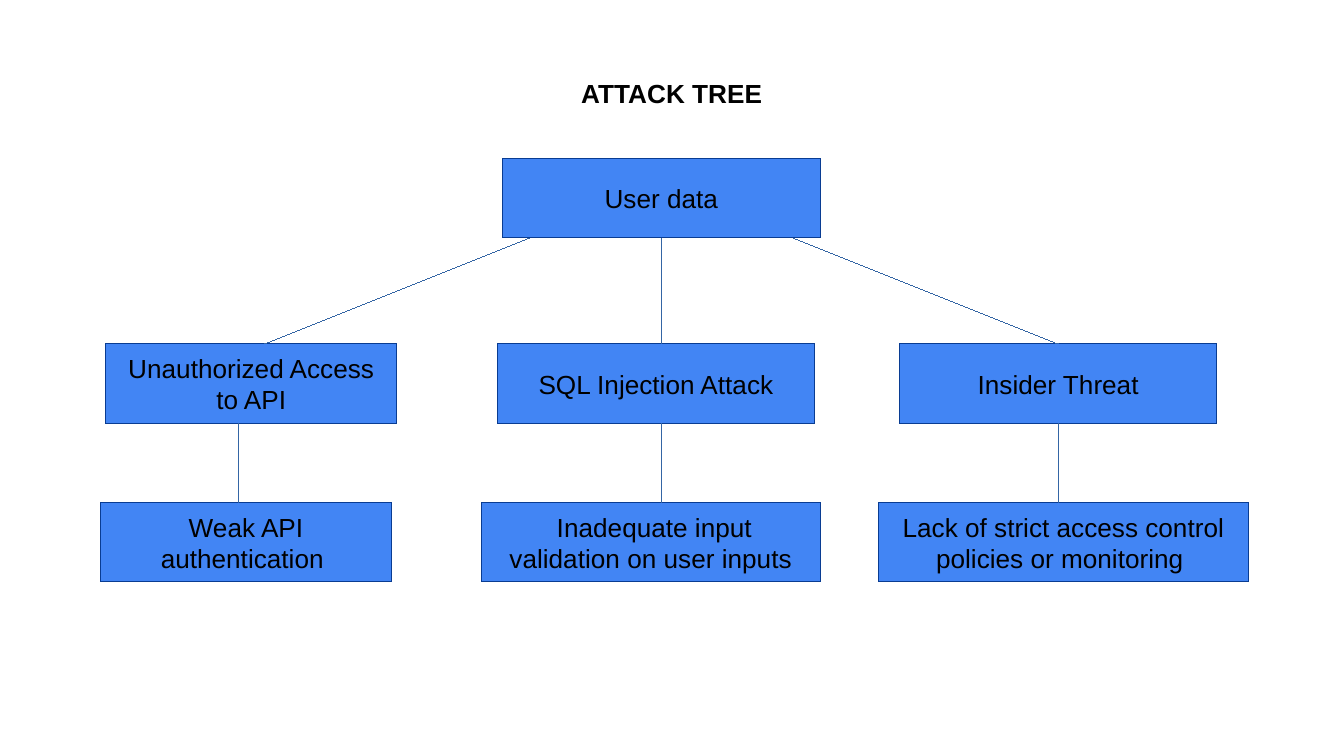
from dataclasses import dataclass

from lxml.etree import SubElement
from pptx import Presentation
from pptx.dml.color import RGBColor
from pptx.enum.shapes import MSO_CONNECTOR as Connector, MSO_SHAPE as Preset
from pptx.enum.text import MSO_ANCHOR as Anchor, PP_ALIGN as Align
from pptx.oxml.ns import qn
from pptx.util import Cm, Inches, Pt

TOP, BOTTOM = 0, 2


@dataclass(frozen=True)
class Theme:
    """Colours, font and sizes of the slide."""
    font: str = "Arial"
    size: int = 14
    ink: str = "000000"
    node: str = "4285F4"
    border: str = "093C92"
    branch: str = "3465A4"
    hairline: float = 0.01


@dataclass(frozen=True)
class Box:
    """An area on a grid of one-centimetre columns and rows."""
    left: float
    top: float
    width: float
    height: float

    def inner(self, left, top, width, height):
        """Return a box placed relative to this one."""
        return Box(self.left + left, self.top + top, width, height)

    def lengths(self):
        """Return left, top, width and height as slide lengths."""
        return [Cm(n) for n in (self.left, self.top, self.width, self.height)]


@dataclass(frozen=True)
class Branch:
    """A threat with its cause, in columns of the tree."""
    threat: str
    threat_left: float
    threat_width: float
    cause: str
    cause_left: float
    cause_width: float
    root_exit: float
    entry: float
    stem: float


THEME = Theme()
NODE_HEIGHT, THREAT_ROW, CAUSE_ROW = 1.5, 3.5, 6.5
ROOT_LEFT, ROOT_WIDTH = 7.6, 6
BRANCHES = [
    Branch("Unauthorized Access to API", 0.1, 5.5,
           "Weak API authentication ", 0, 5.5, 8.1, 3.1, 2.6),
    Branch("SQL Injection Attack", 7.5, 6,
           " Inadequate input validation on user inputs", 7.2, 6.4, 10.6, 10.6, 10.6),
    Branch("Insider Threat", 15.1, 6,
           "Lack of strict access control policies or monitoring ", 14.7, 7, 13.1, 18.1, 18.1),
]


def write(frame, wording, bold=False):
    """Write one centred paragraph in the theme's type."""
    frame.word_wrap = True
    frame.vertical_anchor = Anchor.MIDDLE
    paragraph = frame.paragraphs[0]
    paragraph.alignment = Align.CENTER
    run = paragraph.add_run()
    run.text = wording
    run.font.name = THEME.font
    run.font.size = Pt(THEME.size)
    run.font.bold = bold
    run.font.color.rgb = RGBColor.from_string(THEME.ink)


def add_title(slide, box, wording):
    """Place the heading in its box."""
    heading = slide.shapes.add_textbox(*box.lengths())
    frame = heading.text_frame
    frame.margin_left = frame.margin_right = frame.margin_top = frame.margin_bottom = 0
    write(frame, wording, bold=True)


def add_node(slide, box, wording):
    """Place one labelled rectangle of the tree."""
    node = slide.shapes.add_shape(Preset.RECTANGLE, *box.lengths())
    node.shadow.inherit = False
    node.fill.solid()
    node.fill.fore_color.rgb = RGBColor.from_string(THEME.node)
    node.line.color.rgb = RGBColor.from_string(THEME.border)
    node.line.width = Pt(THEME.hairline)
    write(node.text_frame, wording)
    return node


def add_link(slide, upper, lower, start, end):
    """Draw a line between two nodes, joined where it meets a side's middle."""
    link = slide.shapes.add_connector(
        Connector.STRAIGHT, Cm(start), upper.top + upper.height, Cm(end), lower.top)
    link.line.color.rgb = RGBColor.from_string(THEME.branch)
    link.line.width = Pt(THEME.hairline)
    SubElement(link._element.spPr, qn("a:effectLst"))
    if abs(upper.left + upper.width / 2 - Cm(start)) < Cm(0.01):
        link.begin_connect(upper, BOTTOM)
    if abs(lower.left + lower.width / 2 - Cm(end)) < Cm(0.01):
        link.end_connect(lower, TOP)


def add_tree(slide, box, goal, branches):
    """Place the goal, its threats and their causes inside the box."""
    root = add_node(slide, box.inner(ROOT_LEFT, 0, ROOT_WIDTH, NODE_HEIGHT), goal)
    for branch in branches:
        threat = add_node(slide, box.inner(
            branch.threat_left, THREAT_ROW, branch.threat_width, NODE_HEIGHT), branch.threat)
        cause = add_node(slide, box.inner(
            branch.cause_left, CAUSE_ROW, branch.cause_width, NODE_HEIGHT), branch.cause)
        add_link(slide, root, threat, box.left + branch.root_exit, box.left + branch.entry)
        add_link(slide, threat, cause, box.left + branch.stem, box.left + branch.stem)


def main():
    """Build and save the attack tree slide."""
    deck = Presentation()
    deck.slide_width = Inches(10)
    deck.slide_height = deck.slide_width * 9 // 16
    slide = deck.slides.add_slide(deck.slide_layouts[6])
    add_title(slide, Box(0.86, 1, 23.67, 1.5), "ATTACK TREE")
    add_tree(slide, Box(1.9, 3, 21.7, 8), "User data", BRANCHES)
    deck.save("out.pptx")


if __name__ == "__main__":
    main()
